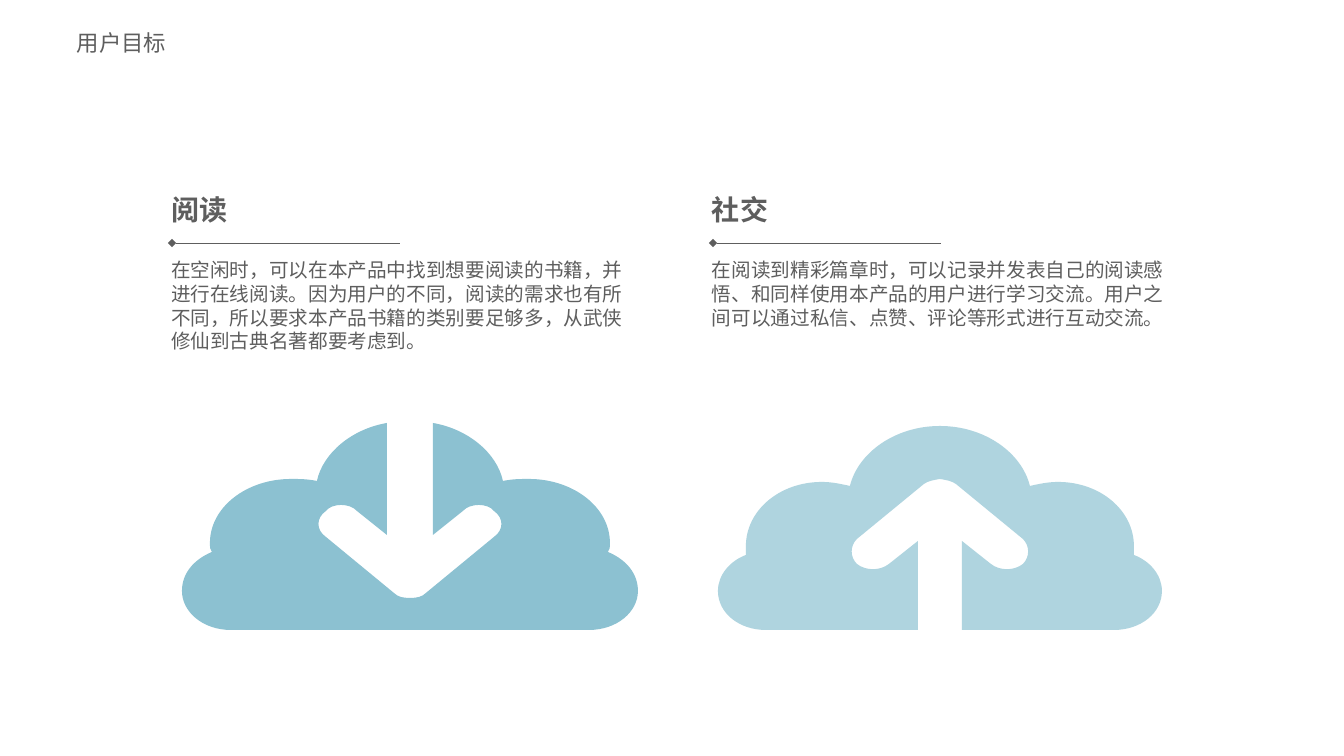
from lxml.etree import SubElement
from pptx import Presentation
from pptx.dml.color import RGBColor
from pptx.enum.shapes import MSO_CONNECTOR as Connector
from pptx.enum.text import MSO_ANCHOR as Anchor, MSO_AUTO_SIZE as AutoSize, PP_ALIGN as Align
from pptx.oxml.ns import qn
from pptx.util import Pt

PX = 12192000 / 1344
FONT = "Noto Sans CJK SC"
GREY = "5E5E5E"


def px(length):
    return round(length * PX)


def write(holder, text, left, top, width, height, size, bold=False, color=GREY):
    holder.left, holder.top, holder.width, holder.height = map(px, (left, top, width, height))
    frame = holder.text_frame
    frame.word_wrap = True
    frame.auto_size = AutoSize.NONE
    frame.vertical_anchor = Anchor.TOP
    frame.margin_left = frame.margin_right = px(10)
    frame.margin_top = frame.margin_bottom = px(5)
    paragraph = frame.paragraphs[0]
    paragraph.alignment = Align.LEFT
    paragraph.space_before = Pt(0)
    paragraph.line_spacing = Pt(size * 1.21)
    properties = paragraph._p.get_or_add_pPr()
    properties.set("marL", "0")
    properties.set("indent", "0")
    SubElement(properties, qn("a:buNone"))
    run = paragraph.add_run()
    run.text = text
    run.font.name = FONT
    run.font.size = Pt(size)
    run.font.bold = bold
    run.font.color.rgb = RGBColor.from_string(color)
    SubElement(run._r.get_or_add_rPr(), qn("a:ea"), typeface=FONT)


deck = Presentation()
deck.slide_width, deck.slide_height = px(1344), px(756)
slide = deck.slides.add_slide(deck.slide_layouts[4])
holders = slide.placeholders

write(holders[0], "用户目标", 67, 24, 255, 37, 16)

goals = [
    (161, 105, 1, "阅读", "在空闲时，可以在本产品中找到想要阅读的书籍，并进行在线阅读。因为用户的不同，阅读的需求也有所不同，所以要求本产品书籍的类别要足够多，从武侠修仙到古典名著都要考虑到。"),
    (702, 82, 3, "社交", "在阅读到精彩篇章时，可以记录并发表自己的阅读感悟、和同样使用本产品的用户进行学习交流。用户之间可以通过私信、点赞、评论等形式进行互动交流。"),
]
for left, height, index, heading, description in goals:
    write(holders[index], heading, left, 187, 227, 44, 20, bold=True)
    write(holders[index + 1], description, left, 253, 479, height, 14)
    rule = slide.shapes.add_connector(Connector.STRAIGHT, px(left + 11), px(243), px(left + 239), px(243))
    rule.line.color.rgb = RGBColor.from_string(GREY)
    rule.line.width = Pt(0.5)
    SubElement(rule.line._get_or_add_ln(), qn("a:headEnd"), type="diamond")
    SubElement(rule._element.spPr, qn("a:effectLst"))

download_half = [
    [(0, 598)], [(7, 598), (12, 597), (16, 593)], [(84, 537)],
    [(94, 530), (94, 518), (84, 511)], [(78, 503), (60, 503), (53, 511)],
    [(23, 535)], [(23, 423)], [(58, 429), (87, 453), (93, 481)],
    [(103, 479), (110, 479), (119, 479)], [(163, 479), (200, 507), (200, 543)],
    [(200, 547), (200, 550), (198, 552)], [(217, 560), (228, 574), (228, 591)],
    [(228, 612), (207, 630), (179, 630)], [(0, 630)],
]
upload_half = [
    [(0, 426)], [(45, 426), (82, 453), (90, 486)],
    [(99, 484), (108, 482), (118, 482)], [(161, 482), (194, 511), (194, 546)],
    [(194, 549), (194, 553), (194, 555)], [(210, 561), (222, 575), (222, 591)],
    [(222, 613), (201, 630), (174, 630)], [(22, 630)], [(22, 541)], [(51, 564)],
    [(60, 571), (74, 571), (83, 564)], [(90, 557), (90, 546), (83, 539)],
    [(16, 484)], [(12, 481), (6, 480), (0, 479)],
]
for center, color, half in [(940, "AFD4DF", upload_half), (410, "8CC1D1", download_half)]:
    right = [point for segment in half for point in segment]
    outline = right + [(-x, y) for x, y in right[-2::-1]]
    counts = [len(segment) for segment in half[1:]]
    points = [(px(center + x), px(y)) for x, y in outline]
    builder = slide.shapes.build_freeform(*points[0], scale=1.0)
    builder.add_line_segments(points[1:], close=True)
    cloud = builder.convert_to_shape()

    steps = iter(list(cloud._element.iter(qn("a:lnTo"))))
    for count in counts + counts[::-1]:
        first, *others = [next(steps) for _ in range(count)]
        if others:
            first.tag = qn("a:cubicBezTo")
            for other in others:
                first.append(other[0])
                other.getparent().remove(other)

    cloud.shadow.inherit = False
    cloud.fill.solid()
    cloud.fill.fore_color.rgb = RGBColor.from_string(color)
    cloud.line.fill.background()

deck.save("out.pptx")
